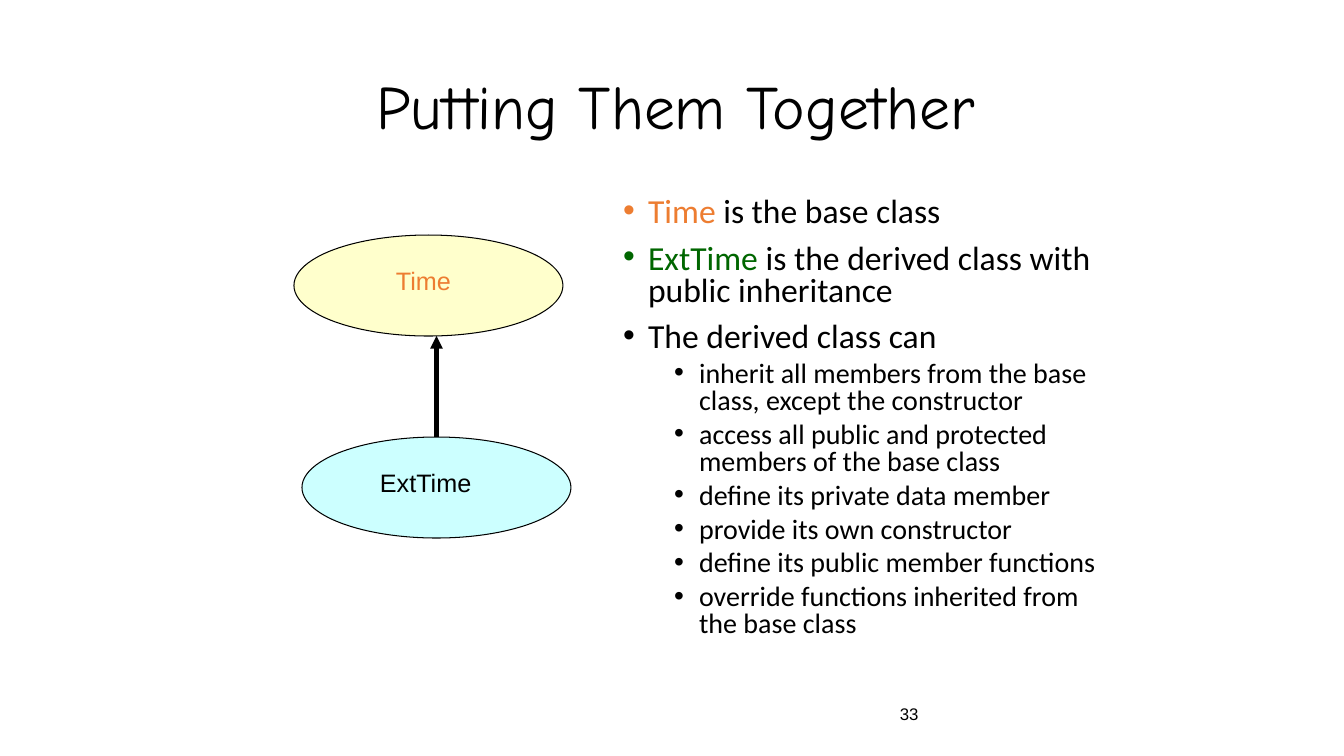
"""Build a slide on a base class and the class derived from it."""
from lxml import etree
from pptx import Presentation
from pptx import util as u
from pptx.dml.color import RGBColor
from pptx.enum import shapes, text
from pptx.oxml.ns import qn

SCALE = 914400 / 100.8
BLACK, ORANGE, GREEN = "000000", "ED7D31", "006600"

TITLE = "Putting Them Together"
TITLE_AREA = (235, 67, 882, 76)
BODY_AREA = (613, 193, 512, 496)
NUMBER = "33"
NUMBER_AREA = (890, 689, 210, 50)
POINTS = [
    (0, [("Time", ORANGE), (" is the base class", BLACK)]),
    (0, [("ExtTime", GREEN), (" is the derived class with public inheritance", BLACK)]),
    (0, [("The derived class can", BLACK)]),
    (1, [("inherit all members from the base class, except the constructor", BLACK)]),
    (1, [("access all public and protected members of the base class", BLACK)]),
    (1, [("define its private data member", BLACK)]),
    (1, [("provide its own constructor", BLACK)]),
    (1, [("define its public member functions", BLACK)]),
    (1, [("override functions inherited from the base class", BLACK)]),
]
LEVELS = [
    {"size": 24, "before": 10, "indent": 25},
    {"size": 20, "before": 5, "indent": 76},
]
HANGING = 25
CLASSES = [
    {"name": "Time", "area": (294, 235, 269, 101), "label": (386, 260, 76, 40),
     "fill": "FFFFCC", "color": ORANGE},
    {"name": "ExtTime", "area": (302, 437, 269, 101), "label": (370, 462, 113, 40),
     "fill": "CCFFFF", "color": BLACK},
]


def px(length):
    return u.Emu(round(length * SCALE))


def rgb(color):
    return RGBColor.from_string(color)


def apply(target, values):
    for name, value in values.items():
        setattr(target, name, value)


def place(shape, area):
    apply(shape, dict(zip(("left", "top", "width", "height"), map(px, area))))


def add_span(para, words, font, size, color):
    span = para.add_run()
    span.text = words
    apply(span.font, {"name": font, "size": u.Pt(size)})
    span.font.color.rgb = rgb(color)


def add_text(page, area, words, size, color, **frame_format):
    box = page.shapes.add_textbox(*map(px, area))
    apply(box.text_frame, frame_format)
    add_span(box.text_frame.paragraphs[0], words, "Arial", size, color)
    return box


def fill_title(title):
    place(title, TITLE_AREA)
    apply(title.text_frame, {"vertical_anchor": text.MSO_ANCHOR.MIDDLE,
                             "auto_size": text.MSO_AUTO_SIZE.NONE})
    para = title.text_frame.paragraphs[0]
    para.alignment = text.PP_ALIGN.CENTER
    add_span(para, TITLE, "Comic Neue", 44, BLACK)


def fill_body(body):
    place(body, BODY_AREA)
    frame = body.text_frame
    frame.auto_size = text.MSO_AUTO_SIZE.NONE
    for index, (level, spans) in enumerate(POINTS):
        para = frame.add_paragraph() if index else frame.paragraphs[0]
        style = LEVELS[level]
        props = para._p.get_or_add_pPr()
        props.set("marL", str(px(style["indent"])))
        props.set("indent", str(px(-HANGING)))
        etree.SubElement(props, qn("a:buFont")).set("typeface", "Arial")
        etree.SubElement(props, qn("a:buChar")).set("char", "•")
        apply(para, {"level": level, "line_spacing": 0.8,
                     "space_before": u.Pt(style["before"] if index else 0)})
        for words, color in spans:
            add_span(para, words, "Calibri", style["size"], color)


def add_class(page, item):
    oval = page.shapes.add_shape(shapes.MSO_SHAPE.OVAL, *map(px, item["area"]))
    oval.shadow.inherit = False
    oval.fill.solid()
    oval.fill.fore_color.rgb = rgb(item["fill"])
    oval.line.color.rgb = rgb(BLACK)
    oval.line.width = u.Pt(0.75)
    label = add_text(page, item["label"], item["name"], 18, item["color"],
                     word_wrap=False, auto_size=text.MSO_AUTO_SIZE.SHAPE_TO_FIT_TEXT)
    label.fill.solid()
    label.fill.fore_color.rgb = rgb(item["fill"])
    return oval


def add_arrow(page, base, derived):
    middle = derived.left + derived.width // 2
    arrow = page.shapes.add_connector(
        shapes.MSO_CONNECTOR.STRAIGHT, middle, derived.top, middle, base.top + base.height)
    arrow.begin_connect(derived, 0)
    arrow.line.color.rgb = rgb(BLACK)
    arrow.line.width = u.Pt(3)
    etree.SubElement(arrow.line._get_or_add_ln(), qn("a:tailEnd")).set("type", "triangle")
    etree.SubElement(arrow._element.spPr, qn("a:effectLst"))


def main():
    deck = Presentation()
    deck.slide_width, deck.slide_height = px(1344), px(756)
    page = deck.slides.add_slide(deck.slide_layouts[1])
    fill_title(page.shapes.title)
    fill_body(page.placeholders[1])
    base, derived = [add_class(page, item) for item in CLASSES]
    add_arrow(page, base, derived)
    add_text(page, NUMBER_AREA, NUMBER, 12, BLACK, word_wrap=True,
             vertical_anchor=text.MSO_ANCHOR.MIDDLE)
    deck.save("out.pptx")


if __name__ == "__main__":
    main()
